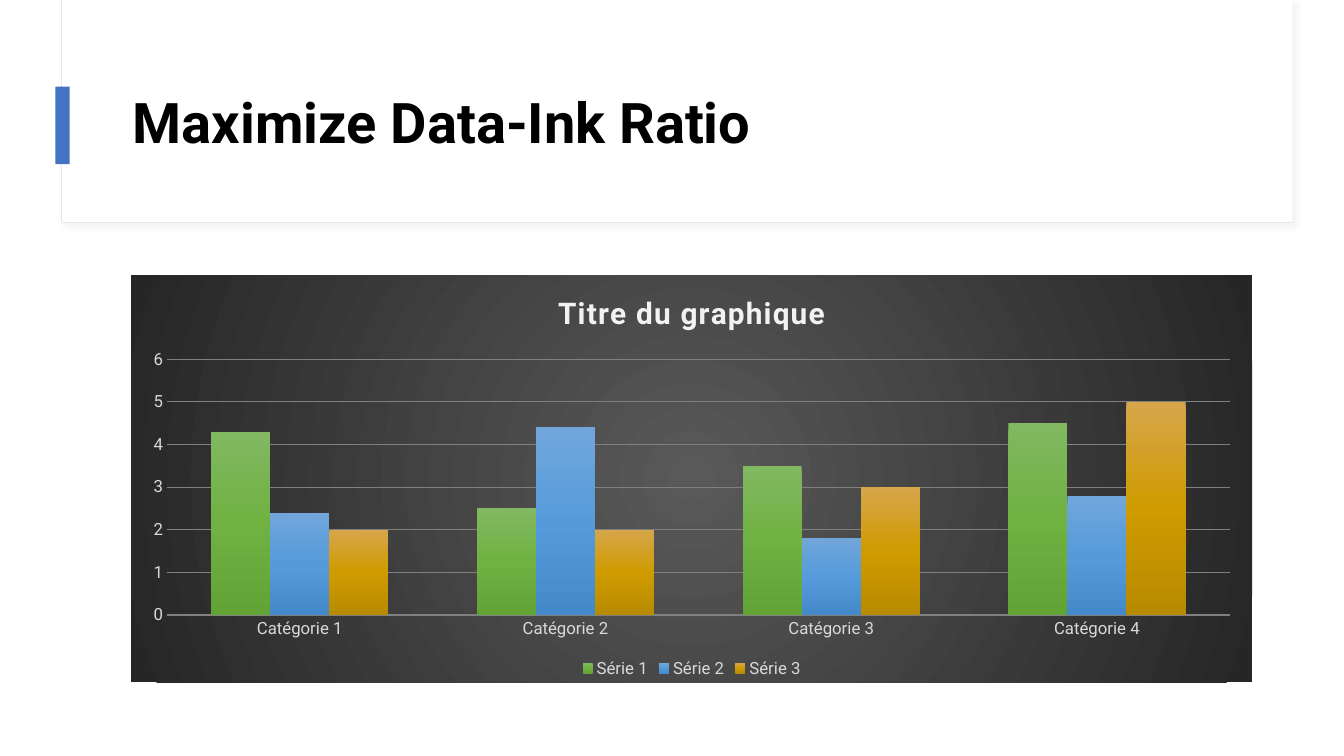
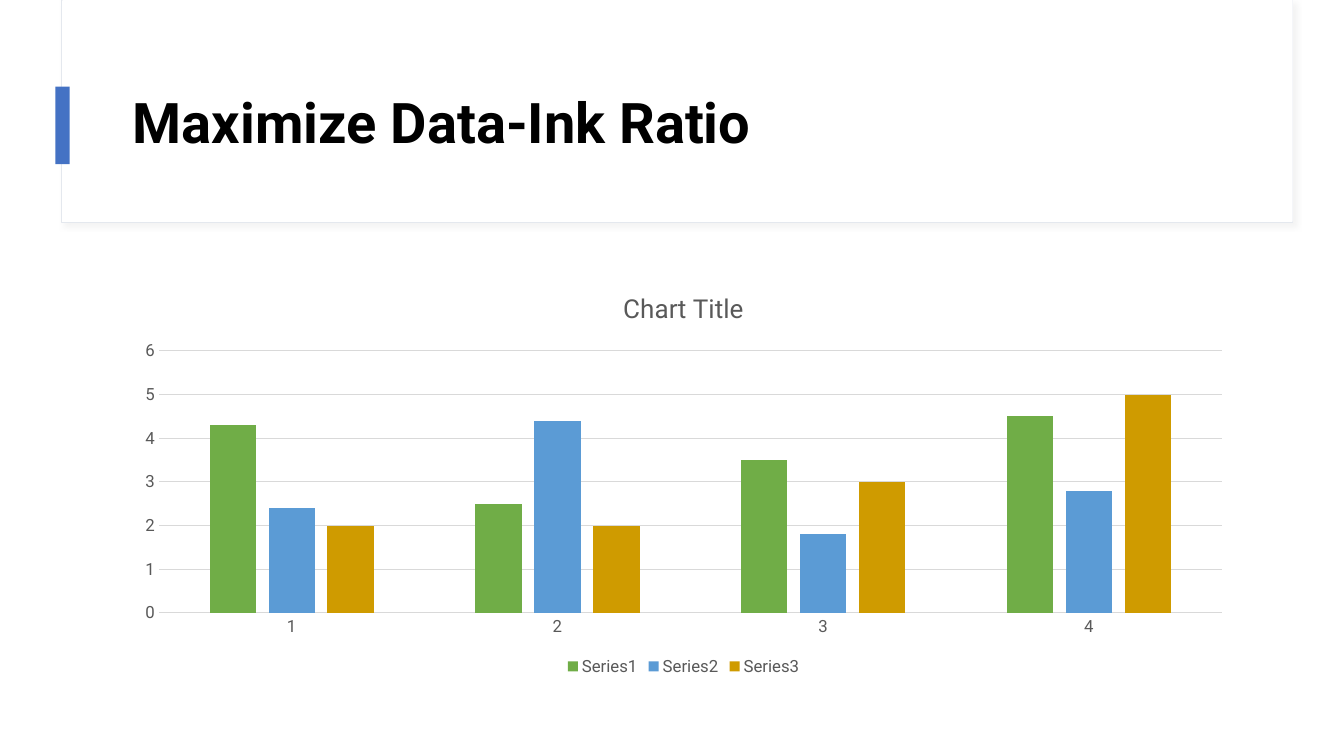
"""Build two slides that show one column chart with heavy and with light styling."""
import pptx
import pptx.chart.data
import pptx.dml.color
import pptx.enum.chart
import pptx.enum.shapes
import pptx.enum.text
import pptx.oxml
import pptx.oxml.ns
import pptx.util

SCALE = 9144
FONT = "Roboto"
COLORS = {
    "white": "FFFFFF", "black": "000000", "accent": "4472C4", "frame": "E4E8EE",
    "shadow": "D9D9D9", "pale": "D9D9D9", "gray": "808080", "dark": "595959",
    "darkest": "262626", "bright": "F2F2F2",
    "green": "70AD47", "blue": "5B9BD5", "gold": "CF9B00",
}
TITLE = "Maximize Data-Ink Ratio"
TITLE_AT = (122, 60, 1112, 129)
BANDS = [
    {"at": (61, 0, 1221, 221), "fill": "white", "line": "frame", "shadow": True},
    {"at": (62, 0, 1220, 220), "fill": "white"},
    {"at": (55, 86, 14, 77), "fill": "accent"},
]
VALUES = [(4.3, 2.5, 3.5, 4.5), (2.4, 4.4, 1.8, 2.8), (2, 2, 3, 5)]
CHARTS = [
    {
        "at": (130, 273, 1112, 404),
        "title": "Titre du graphique",
        "title_format": {"size": 21.3, "color": "bright", "bold": True, "spacing": 100},
        "categories": [f"Catégorie {number}" for number in range(1, 5)],
        "names": [f"Série {number}" for number in range(1, 4)],
        "fills": [
            ("81B861", "6FB242", "62A336"),
            ("71A6DB", "559BDB", "448ACA"),
            ("D6A64B", "CF9B00", "B88A00"),
        ],
        "backdrop": (COLORS["dark"], COLORS["darkest"]),
        "label": "pale", "grid": "gray", "base": None, "gap": 150, "overlap": 0,
    },
    {
        "at": (122, 271, 1112, 404),
        "title": "Chart Title",
        "title_format": {"size": 18.6, "color": "dark"},
        "categories": ["1", "2", "3", "4"],
        "names": [f"Series{number}" for number in range(1, 4)],
        "fills": ["green", "blue", "gold"],
        "backdrop": None,
        "label": "dark", "grid": "pale", "base": "pale", "gap": 219, "overlap": -27,
    },
]
RADIAL = '<a:path path="circle"><a:fillToRect l="50000" t="50000" r="50000" b="50000"/></a:path>'
LINEAR = '<a:lin ang="5400000" scaled="0"/>'


def emu(lengths):
    return [pptx.util.Emu(length * SCALE) for length in lengths]


def rgb(name):
    return pptx.dml.color.RGBColor.from_string(COLORS[name])


def parse(xml):
    return pptx.oxml.parse_xml(xml)


def gradient(stops, direction):
    marks = "".join(
        f'<a:gs pos="{100000 * index // (len(stops) - 1)}"><a:srgbClr val="{color}"/></a:gs>'
        for index, color in enumerate(stops)
    )
    return parse(
        f'<a:gradFill {pptx.oxml.ns.nsdecls("a")} rotWithShape="1">'
        f"<a:gsLst>{marks}</a:gsLst>{direction}</a:gradFill>"
    )


def style_font(font, size, color, bold=False):
    font.name, font.size, font.bold = FONT, pptx.util.Pt(size), bold
    font.color.rgb = rgb(color)


def write_text(frame, text, size=12, color="black", bold=False, spacing=0, leading=None):
    para = frame.paragraphs[0]
    if leading:
        para.line_spacing = leading
    span = para.add_run()
    span.text = text
    style_font(span.font, size, color, bold)
    if spacing:
        span._r.get_or_add_rPr().set("spc", str(spacing))


def set_line(line, color):
    if color:
        line.color.rgb = rgb(color)
        line.width = pptx.util.Pt(0.75)
    else:
        line.fill.background()


def add_band(page, at, fill, line=None, shadow=False):
    band = page.shapes.add_shape(pptx.enum.shapes.MSO_SHAPE.RECTANGLE, *emu(at))
    band.shadow.inherit = False
    band.fill.solid()
    band.fill.fore_color.rgb = rgb(fill)
    set_line(band.line, line)
    if shadow:
        effects = band._element.spPr.find(pptx.oxml.ns.qn("a:effectLst"))
        effects.append(parse(
            f'<a:outerShdw {pptx.oxml.ns.nsdecls("a")} blurRad="50800" dist="38100" '
            f'dir="2700000" algn="tl" rotWithShape="0"><a:srgbClr val="{COLORS["shadow"]}">'
            '<a:alpha val="30000"/></a:srgbClr></a:outerShdw>'
        ))


def add_header(page):
    for band in BANDS:
        add_band(page, **band)
    box = page.shapes.add_textbox(*emu(TITLE_AT))
    box.text_frame.word_wrap = True
    box.text_frame.vertical_anchor = pptx.enum.text.MSO_ANCHOR.MIDDLE
    write_text(box.text_frame, TITLE, size=40, bold=True, leading=0.9)


def style_axis(axis, line, label):
    axis.major_tick_mark = axis.minor_tick_mark = pptx.enum.chart.XL_TICK_MARK.NONE
    set_line(axis.format.line, line)
    style_font(axis.tick_labels.font, 12, label)


def fill_series(series, fill):
    if isinstance(fill, tuple):
        series._element.get_or_add_spPr().insert(0, gradient(fill, LINEAR))
    else:
        series.format.fill.solid()
        series.format.fill.fore_color.rgb = rgb(fill)
    series.invert_if_negative = False


def add_columns(page, content):
    data = pptx.chart.data.CategoryChartData()
    data.categories = content["categories"]
    for name, values in zip(content["names"], VALUES):
        data.add_series(name, values)
    kind = pptx.enum.chart.XL_CHART_TYPE.COLUMN_CLUSTERED
    chart = page.shapes.add_chart(kind, *emu(content["at"]), data).chart
    style_font(chart.font, 10, "black")
    write_text(chart.chart_title.text_frame, content["title"], **content["title_format"])

    style_axis(chart.category_axis, content["base"], content["label"])
    style_axis(chart.value_axis, None, content["label"])
    chart.value_axis.minimum_scale, chart.value_axis.maximum_scale = 0, 6
    chart.value_axis.major_unit = 1
    set_line(chart.value_axis.major_gridlines.format.line, content["grid"])

    chart.has_legend = True
    chart.legend.position = pptx.enum.chart.XL_LEGEND_POSITION.BOTTOM
    chart.legend.include_in_layout = False
    style_font(chart.legend.font, 12, content["label"])

    plot = chart.plots[0]
    plot.vary_by_categories = False
    plot.gap_width, plot.overlap = content["gap"], content["overlap"]
    for series, fill in zip(plot.series, content["fills"]):
        fill_series(series, fill)
    if content["backdrop"]:
        area = parse(f'<c:spPr {pptx.oxml.ns.nsdecls("c", "a")}><a:ln><a:noFill/></a:ln></c:spPr>')
        area.insert(0, gradient(content["backdrop"], RADIAL))
        chart.element.find(pptx.oxml.ns.qn("c:chart")).addnext(area)


def main():
    deck = pptx.Presentation()
    deck.slide_width, deck.slide_height = emu((1333, 750))
    for content in CHARTS:
        page = deck.slides.add_slide(deck.slide_layouts[6])
        add_header(page)
        add_columns(page, content)
    deck.save("out.pptx")


if __name__ == "__main__":
    main()
